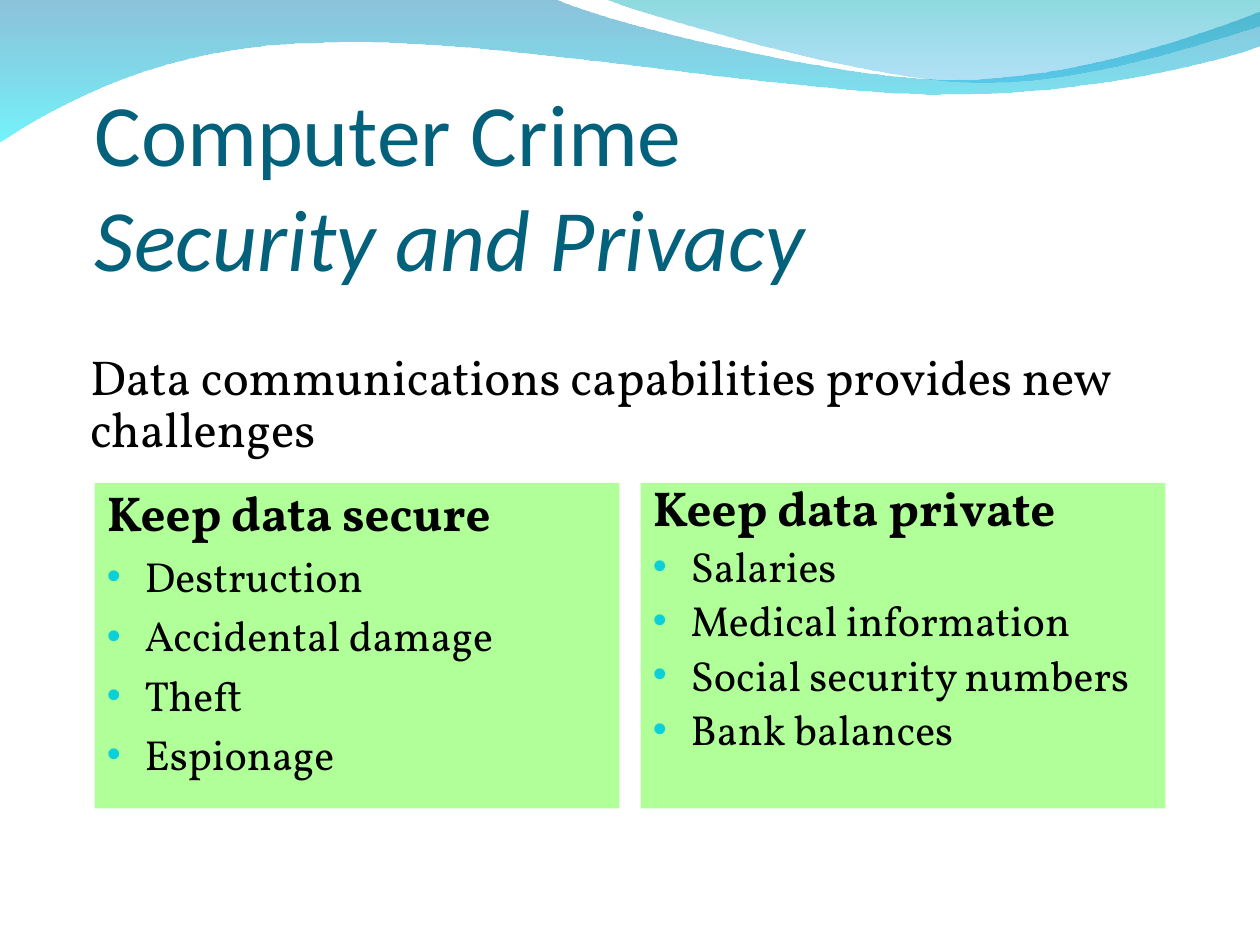
from lxml.etree import SubElement
from pptx import Presentation
from pptx.dml.color import RGBColor
from pptx.enum.shapes import MSO_SHAPE
from pptx.enum.text import MSO_ANCHOR, PP_ALIGN
from pptx.oxml.ns import qn
from pptx.util import Pt


def color(value):
    return RGBColor.from_string(value)


def set_alpha(color_element, percent):
    SubElement(color_element, qn("a:alpha"), val=str(percent * 1000))


def bend(shape, segments):
    outline = next(shape._element.spPr.iter(qn("a:path")))
    lines = iter(outline.findall(qn("a:lnTo")))
    for segment in segments:
        group = [next(lines) for _ in segment]
        if len(group) == 3:
            bezier = SubElement(outline, qn("a:cubicBezTo"))
            group[0].addprevious(bezier)
            for line in group:
                bezier.append(line[0])
                outline.remove(line)


class SlideBuilder:
    title_font = "Calibri"
    body_font = "Vollkorn"
    title_color = "04617B"
    text_color = "000000"
    bullet_color = "0BD0D9"
    panel_color = "64FF33"

    def __init__(self, page):
        self.page = page

    def wave(self, start, segments, stops):
        points = [(Pt(x), Pt(y)) for segment in segments for x, y in segment]
        builder = self.page.shapes.build_freeform(*map(Pt, start), scale=1.0)
        builder.add_line_segments(points, close=True)
        shape = builder.convert_to_shape()
        bend(shape, segments)
        shape.shadow.inherit = False
        shape.line.fill.background()
        shape.fill.gradient()
        shape.fill.gradient_angle = 270
        for stop, (value, _) in zip(shape.fill.gradient_stops, stops):
            stop.color.rgb = color(value)
        elements = shape._element.spPr.iter(qn("a:srgbClr"))
        for element, (_, percent) in zip(elements, stops):
            set_alpha(element, percent)

    def frame(self, shape, margins, anchor=MSO_ANCHOR.TOP):
        frame = shape.text_frame
        frame.word_wrap = True
        frame.vertical_anchor = anchor
        (frame.margin_left, frame.margin_top,
         frame.margin_right, frame.margin_bottom) = map(Pt, margins)
        return frame

    def style(self, para, name, size, value, bold=False):
        font = para.font
        font.name = name
        font.size = Pt(size)
        font.bold = bold
        font.color.rgb = color(value)

    def title(self, bounds, first_line, second_line):
        box = self.page.shapes.add_textbox(*map(Pt, bounds))
        para = self.frame(box, (0, 3.6, 0, 0), MSO_ANCHOR.BOTTOM).paragraphs[0]
        para.add_run().text = first_line
        para.add_line_break()
        span = para.add_run()
        span.text = second_line
        span.font.italic = True
        self.style(para, self.title_font, 50, self.title_color)

    def statement(self, bounds, text):
        box = self.page.shapes.add_textbox(*map(Pt, bounds))
        para = self.frame(box, (3.6,) * 4).paragraphs[0]
        para.text = text
        para.line_spacing = 0.9
        self.style(para, self.body_font, 28, self.text_color)

    def bullet(self, para):
        properties = para._p.get_or_add_pPr()
        properties.set("marL", str(Pt(21.6)))
        properties.set("indent", str(Pt(-21.6)))
        holder = SubElement(properties, qn("a:buClr"))
        SubElement(holder, qn("a:srgbClr"), val=self.bullet_color)
        SubElement(properties, qn("a:buSzPct"), val="95000")
        SubElement(properties, qn("a:buFont"), typeface="Arial")
        SubElement(properties, qn("a:buChar"), char="•")

    def panel_line(self, para, text, spacing):
        para.text = text
        para.line_spacing = spacing
        para.alignment = PP_ALIGN.LEFT

    def panel(self, bounds, heading, items, spacing):
        shape = self.page.shapes.add_shape(MSO_SHAPE.RECTANGLE, *map(Pt, bounds))
        shape.shadow.inherit = False
        shape.line.fill.background()
        shape.fill.solid()
        shape.fill.fore_color.rgb = color(self.panel_color)
        set_alpha(next(shape._element.spPr.iter(qn("a:srgbClr"))), 50)
        frame = self.frame(shape, (7.2, 3.6, 7.2, 3.6))
        para = frame.paragraphs[0]
        self.panel_line(para, heading, spacing)
        self.style(para, self.body_font, 28, self.text_color, bold=True)
        for item in items:
            para = frame.add_paragraph()
            self.panel_line(para, item, spacing)
            para.space_before = Pt(8)
            self.bullet(para)
            self.style(para, self.body_font, 24, self.text_color)


def main():
    deck = Presentation()
    deck.slide_width = Pt(720)
    deck.slide_height = Pt(540)
    slide = SlideBuilder(deck.slides.add_slide(deck.slide_layouts[6]))

    slide.wave((0, -0.7), [
        ((316.8, -0.7),),
        ((342.7, 12.2), (478, 45.4), (545.8, 45.4)),
        ((614.2, 45.4), (689.8, 18.7), (720, 6.5)),
        ((720.7, 25.9),),
        ((707.8, 31.7), (626.4, 54.7), (537.1, 54)),
        ((447.8, 54), (275, 20.2), (185, 24.5)),
        ((92.9, 25.2), (33.1, 59.8), (-0.7, 81.4)),
    ], [("0079AF", 45), ("00EBF8", 55)])
    slide.wave((344.9, -0.7), [
        ((366.5, 7.9), (491, 44.6), (553.7, 46.8)),
        ((616.3, 49.7), (691.9, 23), (720, 15.1)),
        ((720, 0),),
    ], [("00ADB6", 45), ("009BE5", 30)])

    slide.title((54, 36, 612, 129), "Computer Crime ", "Security and Privacy")
    panels = [
        ("Keep data secure", 0.9,
         ["Destruction", "Accidental damage", "Theft", "Espionage"]),
        ("Keep data private", 0.8,
         ["Salaries", "Medical information", "Social security numbers", "Bank balances"]),
    ]
    for column, (heading, spacing, items) in enumerate(panels):
        slide.panel((54 + 312 * column, 276, 300, 186), heading, items, spacing)
    slide.statement((48, 198, 618, 67.5),
                    "Data communications capabilities provides new challenges")

    deck.save("out.pptx")


if __name__ == "__main__":
    main()
